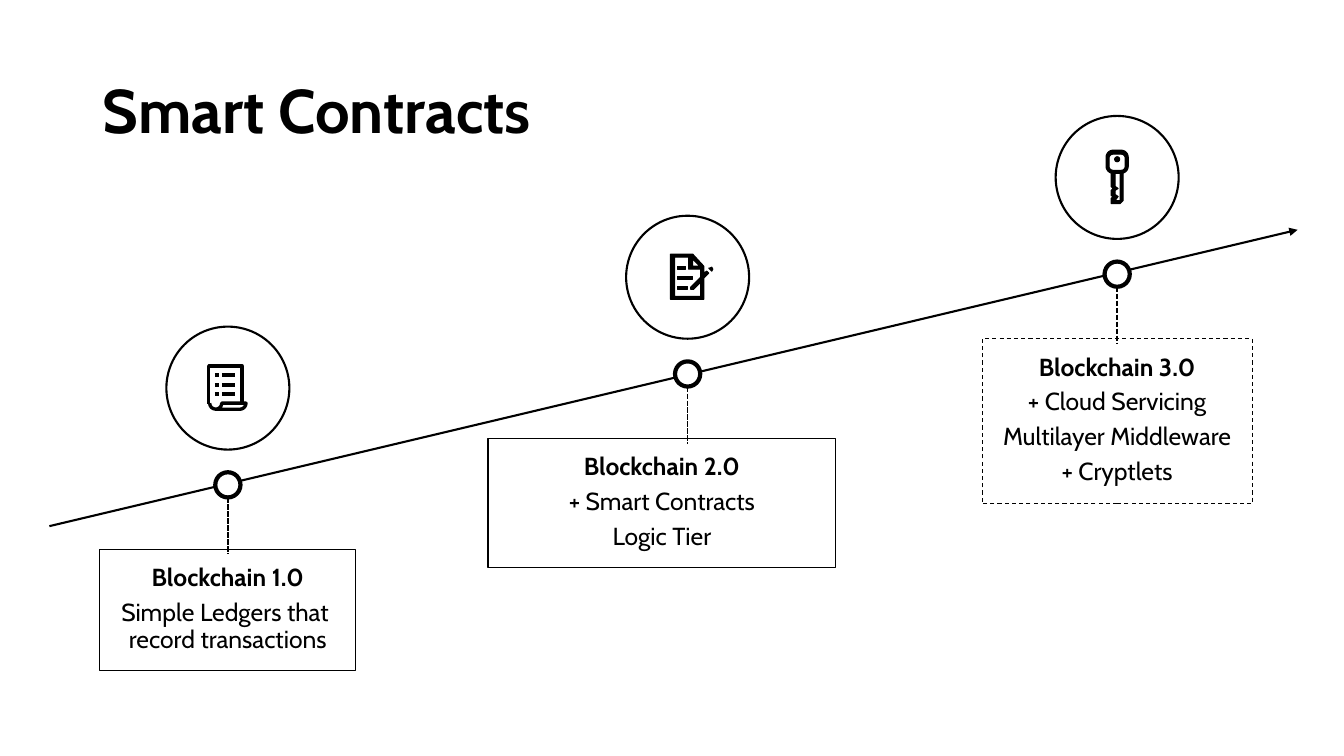
import math

from lxml import etree
from pptx import Presentation
from pptx.dml.color import RGBColor
from pptx.enum.dml import MSO_LINE
from pptx.enum.shapes import MSO_CONNECTOR, MSO_SHAPE
from pptx.enum.text import MSO_ANCHOR, PP_ALIGN
from pptx.oxml.ns import qn
from pptx.util import Inches, Pt

BLACK = RGBColor(0, 0, 0)
WHITE = RGBColor(255, 255, 255)
FONT = "Cabin"
OVAL, RECTANGLE = MSO_SHAPE.OVAL, MSO_SHAPE.RECTANGLE
STRAIGHT = MSO_CONNECTOR.STRAIGHT
DASH, SHORT_DASH = MSO_LINE.DASH, MSO_LINE.SQUARE_DOT
LEFT, CENTER = PP_ALIGN.LEFT, PP_ALIGN.CENTER
TOP, MIDDLE = MSO_ANCHOR.TOP, MSO_ANCHOR.MIDDLE

MARKER_SIZE = 0.25
CIRCLE_SIZE = 1.22
CIRCLE_RISE = 0.96   # marker centre up to icon centre
BOX_DROP = 0.64      # marker centre down to box top
STEM_DROP = 0.69
ICON_LINE = 2.38


def write(paragraph, text, size=17.6, bold=False, align=CENTER, after=5.9):
    paragraph.text = text
    paragraph.alignment = align
    paragraph.line_spacing = 0.9
    paragraph.space_after = Pt(after)
    for run in paragraph.runs:
        run.font.name = FONT
        run.font.size = Pt(size)
        run.font.bold = bold
        run.font.color.rgb = BLACK


def style(shape, fill=None, weight=0.75, dash=None):
    shape.shadow.inherit = False
    if fill is None:
        shape.fill.background()
    else:
        shape.fill.solid()
        shape.fill.fore_color.rgb = fill
    shape.line.color.rgb = BLACK
    shape.line.width = Pt(weight)
    if dash:
        shape.line.dash_style = dash


def add_preset(slide, kind, left, top, width, height, **look):
    shape = slide.shapes.add_shape(
        kind, Inches(left), Inches(top), Inches(width), Inches(height))
    style(shape, **look)
    return shape


def add_disc(slide, x, y, size, **look):
    add_preset(slide, OVAL, x - size / 2, y - size / 2, size, size, **look)


def add_line(slide, x1, y1, x2, y2, weight, dash=None, arrow=False):
    line = slide.shapes.add_connector(
        STRAIGHT, Inches(x1), Inches(y1), Inches(x2), Inches(y2))
    line.line.color.rgb = BLACK
    line.line.width = Pt(weight)
    if dash:
        line.line.dash_style = dash
    if arrow:
        etree.SubElement(line.line._get_or_add_ln(), qn("a:tailEnd"), type="triangle")
    etree.SubElement(line._element.spPr, qn("a:effectLst"))


def add_outline(slide, x, y, contours, closed=True, **look):
    """Draw contours whose points are measured from (x, y)."""
    builder = None
    for contour in contours:
        points = [(Inches(x + dx), Inches(y + dy)) for dx, dy in contour]
        if builder is None:
            builder = slide.shapes.build_freeform(*points[0])
        else:
            builder.move_to(*points[0])
        builder.add_line_segments(points[1:], close=closed)
    style(builder.convert_to_shape(), **look)


def arc(x, y, radius, start, end, steps=8):
    angles = [math.radians(start + (end - start) * i / steps) for i in range(steps + 1)]
    return [(x + radius * math.cos(a), y + radius * math.sin(a)) for a in angles]


def rounded(left, top, right, bottom, radius):
    return (arc(left + radius, bottom - radius, radius, 90, 180)
            + arc(left + radius, top + radius, radius, 180, 270)
            + arc(right - radius, top + radius, radius, 270, 360)
            + arc(right - radius, bottom - radius, radius, 0, 90))


def scroll_icon(slide, x, y):
    curl = arc(-0.12, 0.15, 0.06, 180, 0) + arc(0.12, 0.15, 0.06, 0, 90) + [(-0.12, 0.21)]
    sheet = [(-0.19, 0.16), (-0.19, -0.22), (0.14, -0.22), (0.14, 0.15)]
    for contour in (curl, sheet):
        add_outline(slide, x, y, [contour], closed=False, weight=ICON_LINE)
    for row in (-0.13, -0.03, 0.06):
        for start, end in ((-0.13, -0.09), (-0.06, 0.07)):
            add_line(slide, x + start, y + row, x + end, y + row, ICON_LINE)


def document_icon(slide, x, y):
    for row, width in ((-0.11, 0.08), (-0.01, 0.15), (0.09, 0.1)):
        add_preset(slide, RECTANGLE, x - 0.1, y + row, width, 0.03, fill=BLACK)
    pencil_end = [(0.22, -0.09), (0.21, -0.09), (0.24, -0.06), (0.25, -0.08), (0.24, -0.1)]
    page = [(0.19, -0.06), (0.16, -0.04), (0.16, -0.11), (0.05, -0.23), (-0.17, -0.23),
            (-0.17, 0.22), (0.16, 0.22), (0.16, 0.01), (0.21, -0.04)]
    fold = [(0.12, -0.11), (0.05, -0.11), (0.05, -0.18)]
    inside = [(0.13, 0.19), (-0.13, 0.19), (-0.13, -0.2), (0.01, -0.2), (0.01, -0.08),
              (0.13, -0.08), (0.13, 0), (0.03, 0.1), (0.03, 0.12), (0.06, 0.12), (0.13, 0.05)]
    add_outline(slide, x, y, [pencil_end], fill=BLACK)
    add_outline(slide, x, y, [page, fold, inside], fill=BLACK)


def key_icon(slide, x, y):
    head = rounded(-0.11, -0.27, 0.11, -0.04, 0.07)
    blade = [(0.06, -0.04), (0.06, 0.23), (0.03, 0.26), (-0.06, 0.26), (-0.06, 0.21),
             (-0.04, 0.19), (-0.06, 0.18), (-0.06, 0.13), (-0.04, 0.11), (-0.06, 0.09),
             (-0.06, -0.04)]
    slot = [(0.03, -0.04), (0.03, 0.23), (-0.02, 0.23), (0.01, 0.19), (-0.02, 0.17),
            (-0.02, 0.13), (0.01, 0.11), (-0.02, 0.09), (-0.02, -0.04)]
    eye = rounded(-0.08, -0.23, 0.08, -0.07, 0.04)
    add_outline(slide, x, y, [head, blade, slot, eye], fill=BLACK)
    add_disc(slide, x, y - 0.18, 0.05, fill=BLACK)


def add_milestone(slide, x, y, box, lines, icon, dash=None):
    """Place marker, stem, text box and icon around the point (x, y)."""
    left, width, height = box
    add_disc(slide, x, y, MARKER_SIZE, fill=WHITE, weight=3)
    add_line(slide, x, y + MARKER_SIZE / 2, x, y + STEM_DROP, 1.25, SHORT_DASH)
    panel = add_preset(slide, RECTANGLE, left, y + BOX_DROP, width, height, dash=dash)
    frame = panel.text_frame
    frame.word_wrap = False
    frame.vertical_anchor = TOP
    frame.margin_left = frame.margin_right = Inches(0.2)
    frame.margin_top = frame.margin_bottom = Inches(0.16)
    for index, text in enumerate(lines):
        paragraph = frame.add_paragraph() if index else frame.paragraphs[0]
        write(paragraph, text, bold=index == 0)
    add_disc(slide, x, y - CIRCLE_RISE, CIRCLE_SIZE, weight=1.5)
    icon(slide, x, y - CIRCLE_RISE)


def add_title(slide, text, left, top, width, height):
    title = slide.shapes.title
    title.left, title.top = Inches(left), Inches(top)
    title.width, title.height = Inches(width), Inches(height)
    title.text_frame.vertical_anchor = MIDDLE
    title.text_frame.word_wrap = True
    write(title.text_frame.paragraphs[0], text, size=44, bold=True, align=LEFT, after=0)


def main():
    presentation = Presentation()
    presentation.slide_width = Inches(13.33)
    presentation.slide_height = Inches(7.5)
    slide = presentation.slides.add_slide(presentation.slide_layouts[5])
    add_title(slide, "Smart Contracts", 0.92, 0.4, 11.5, 1.45)

    # Rising timeline
    add_line(slide, 0.49, 5.22, 12.87, 2.28, 1.5, arrow=True)

    # Milestones: box is left, width, height
    add_milestone(slide, 2.26, 4.81, (0.99, 2.54, 1.2),
                  ["Blockchain 1.0", "Simple Ledgers that \vrecord transactions"],
                  scroll_icon)
    add_milestone(slide, 6.82, 3.71, (4.84, 3.45, 1.28),
                  ["Blockchain 2.0", "+ Smart Contracts", "Logic Tier"], document_icon)
    add_milestone(slide, 11.08, 2.72, (9.74, 2.68, 1.64),
                  ["Blockchain 3.0", "+ Cloud Servicing", "Multilayer Middleware",
                   "+ Cryptlets"], key_icon, dash=DASH)
    presentation.save("out.pptx")


if __name__ == "__main__":
    main()
